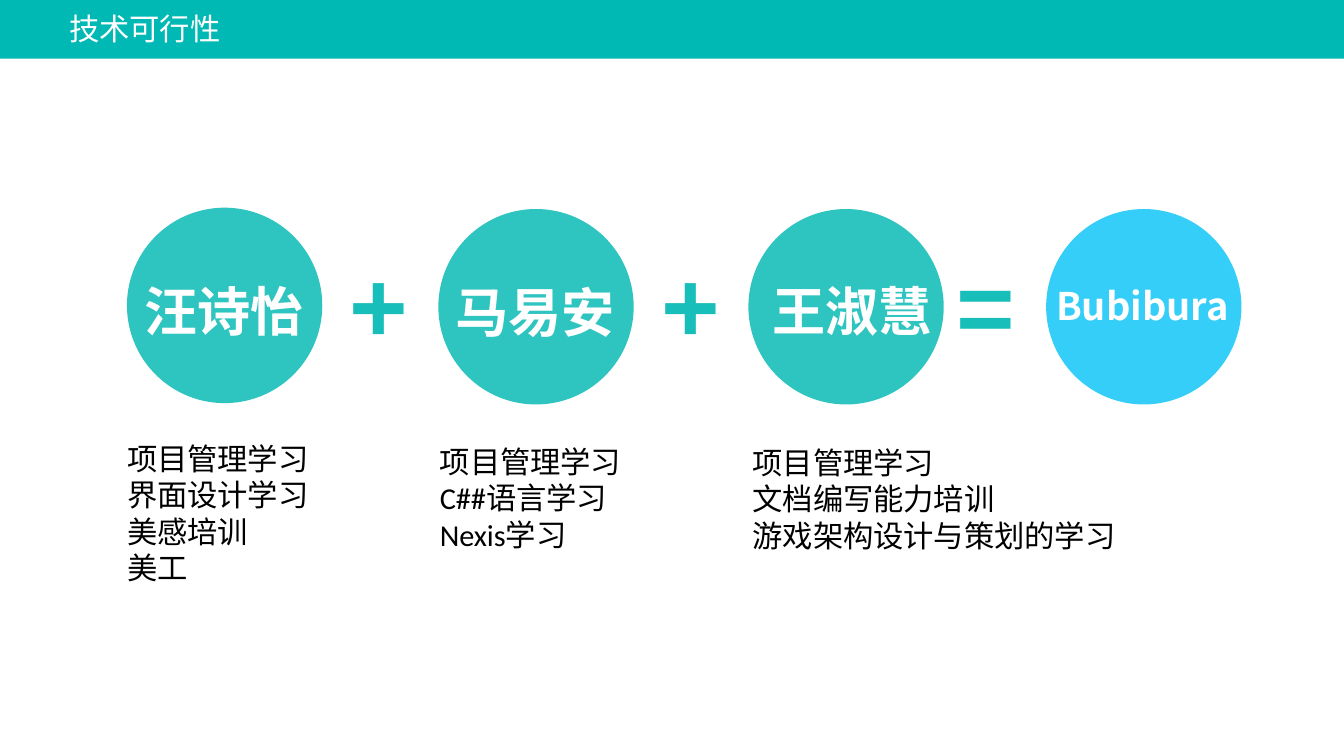
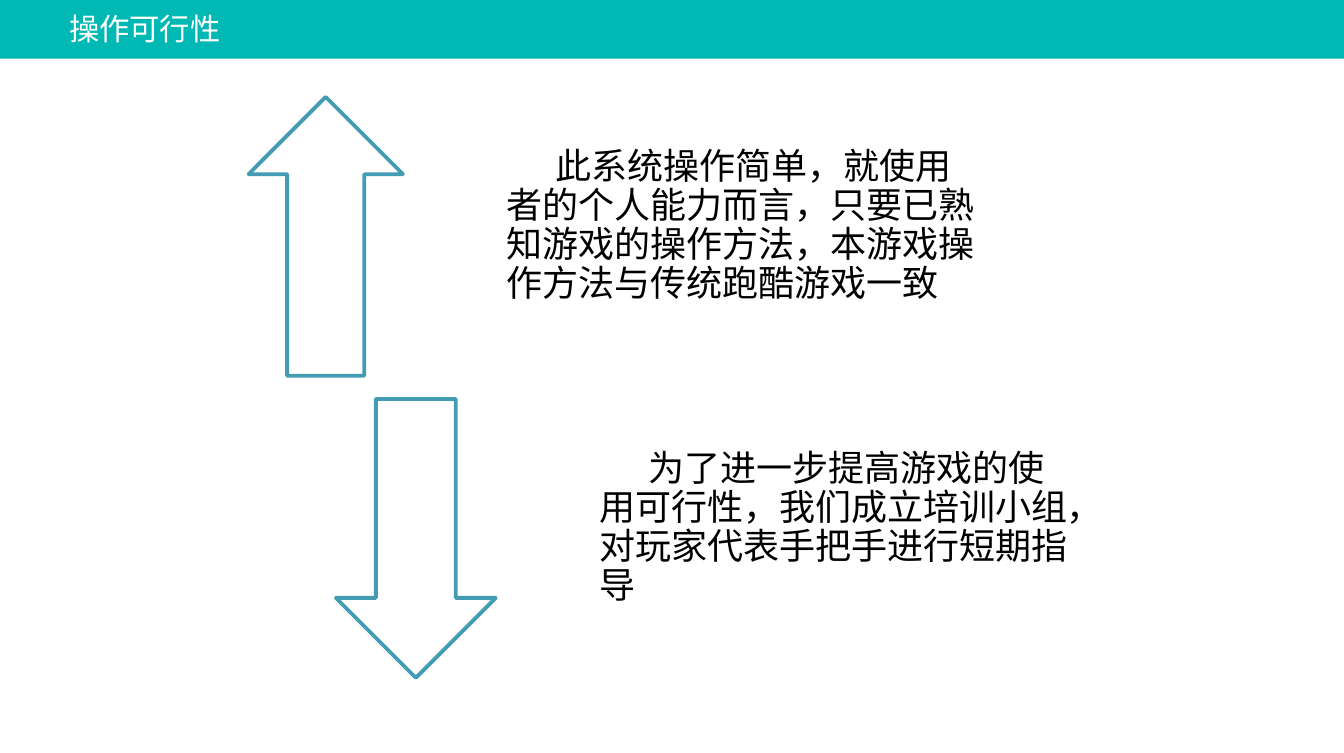
"""Build two feasibility slides: team skills and ease of operation."""
from lxml import etree
from pptx import Presentation
from pptx.dml.color import RGBColor
from pptx.enum.shapes import MSO_SHAPE as SHAPE
from pptx.enum.text import MSO_ANCHOR as ANCHOR, MSO_AUTO_SIZE as AUTO, PP_ALIGN as ALIGN
from pptx.oxml.ns import qn
from pptx.util import Inches, Pt

WHITE = RGBColor(0xFF, 0xFF, 0xFF)
BLACK = RGBColor(0x00, 0x00, 0x00)
BAND = RGBColor(0x00, 0xB8, 0xB4)
TEAL = RGBColor(0x18, 0xBE, 0xBA)
SKY = RGBColor(0x20, 0xC9, 0xF8)
OUTLINE = RGBColor(0x44, 0x9C, 0xB4)
CJK = "Noto Sans CJK SC"
WIDTH, HEIGHT = 9.84, 5.51
COMPARISON, TWO_CONTENT = 4, 3

CIRCLE = 1.43
CIRCLES = [(0.93, 1.52, TEAL), (3.21, 1.53, TEAL), (5.48, 1.53, TEAL), (7.66, 1.53, SKY)]
SIGNS = [("+", 2.33, 1.72), ("+", 4.61, 1.72), ("=", 6.77, 1.73)]
NAMES = [
    ("汪诗怡", (0.38, 1.94, 2.52, 0.47), 28),
    ("马易安", (2.66, 1.95, 2.52, 0.47), 28),
    ("王淑慧", (4.98, 1.94, 2.52, 0.47), 28),
    ("Bubibura", (7.33, 2.0, 2.07, 0.47), 20),
]
SKILLS = [
    ((0.93, 3.17, 1.66, 1.13), ["项目管理学习", "界面设计学习", "美感培训", "美工"]),
    ((3.22, 3.19, 1.66, 0.86), ["项目管理学习", "C##语言学习", "Nexis学习"]),
    ((5.51, 3.2, 3.25, 0.86), ["项目管理学习", "文档编写能力培训", "游戏架构设计与策划的学习"]),
]
POINTS = [
    (SHAPE.UP_ARROW, (1.82, 0.71, 1.13, 2.04), 3.56,
     "此系统操作简单，就使用者的个人能力而言，只要已熟知游戏的操作方法，本游戏操作方法与传统跑酷游戏一致"),
    (SHAPE.DOWN_ARROW, (2.46, 2.92, 1.17, 2.04), 4.24,
     "为了进一步提高游戏的使用可行性，我们成立培训小组，对玩家代表手把手进行短期指导"),
]


def place(sp, box):
    sp.left, sp.top, sp.width, sp.height = map(Inches, box)


def write(sp, lines, size, color, font=CJK, bold=False, align=ALIGN.LEFT, spacing=1.0,
          insets=(0, 0, 0, 0), anchor=ANCHOR.TOP, indent=0):
    tf = sp.text_frame
    tf.word_wrap, tf.auto_size, tf.vertical_anchor = True, AUTO.NONE, anchor
    tf.margin_left, tf.margin_top, tf.margin_right, tf.margin_bottom = map(Inches, insets)
    for i, line in enumerate(lines):
        p = tf.add_paragraph() if i else tf.paragraphs[0]
        p.alignment, p.line_spacing = align, spacing
        p.space_before = p.space_after = Pt(0)
        pPr = p._p.get_or_add_pPr()
        pPr.set("marL", "0")
        pPr.set("indent", str(Inches(indent)))
        etree.SubElement(pPr, qn("a:buNone"))
        r = p.add_run()
        r.text = line
        r.font.size, r.font.bold, r.font.name = Pt(size), bold, font
        r.font.color.rgb = color
        etree.SubElement(r._r.get_or_add_rPr(), qn("a:ea"), typeface=CJK)


def add_shape(s, kind, box, fill, line=None, alpha=None):
    sp = s.shapes.add_shape(kind, *map(Inches, box))
    sp.shadow.inherit = False
    sp.fill.solid()
    sp.fill.fore_color.rgb = fill
    if alpha:
        color = next(sp.element.iter(qn("a:srgbClr")))
        etree.SubElement(color, qn("a:alpha"), val=str(alpha * 1000))
    if line:
        sp.line.color.rgb, sp.line.width = line, Pt(2)
    else:
        sp.line.fill.background()
    return sp


def add_label(s, text, box, size, color, **style):
    sp = s.shapes.add_textbox(*map(Inches, box))
    write(sp, [text], size, color, bold=True, align=ALIGN.CENTER, **style)


def add_slide(prs, layout, title):
    s = prs.slides.add_slide(prs.slide_layouts[layout])
    band = add_shape(s, SHAPE.RECTANGLE, (0, 0, WIDTH, 0.43), BAND)
    s.shapes.element.insert(2, band.element)
    place(s.shapes.title, (-0.2, 0.02, 2.52, 0.47))
    write(s.shapes.title, [title], 16, WHITE, align=ALIGN.CENTER, spacing=1.2)
    bodies = [sp for sp in s.placeholders if sp.placeholder_format.idx]
    return s, bodies


def build_team(prs):
    s, bodies = add_slide(prs, COMPARISON, "技术可行性")
    for left, top, fill in CIRCLES:
        add_shape(s, SHAPE.OVAL, (left, top, CIRCLE, CIRCLE), fill, alpha=90)
    for sign, left, top in SIGNS:
        add_label(s, sign, (left, top, 0.89, 0.99), 52.9, TEAL, font="Arial",
                  insets=(0.1, 0.05, 0.1, 0.05))
    for body, (box, lines) in zip(bodies, SKILLS):
        place(body, box)
        write(body, lines, 16, BLACK, font="Calibri", insets=(0, 0.05, 0, 0))
    for unused in bodies[len(SKILLS):]:
        unused.element.getparent().remove(unused.element)
    for name, box, size in NAMES:
        add_label(s, name, box, size, WHITE, spacing=1.2)


def build_operation(prs):
    s, bodies = add_slide(prs, TWO_CONTENT, "操作可行性")
    for body, (arrow, box, left, text) in zip(bodies, POINTS):
        add_shape(s, arrow, box, WHITE, line=OUTLINE)
        place(body, (left, box[1], 3.79, box[3]))
        write(body, [text], 19, BLACK, spacing=0.9, insets=(0.15, 0, 0.15, 0.15),
              anchor=ANCHOR.MIDDLE, indent=0.36)


def main():
    prs = Presentation()
    prs.slide_width, prs.slide_height = Inches(WIDTH), Inches(HEIGHT)
    build_team(prs)
    build_operation(prs)
    prs.save("out.pptx")


if __name__ == "__main__":
    main()
